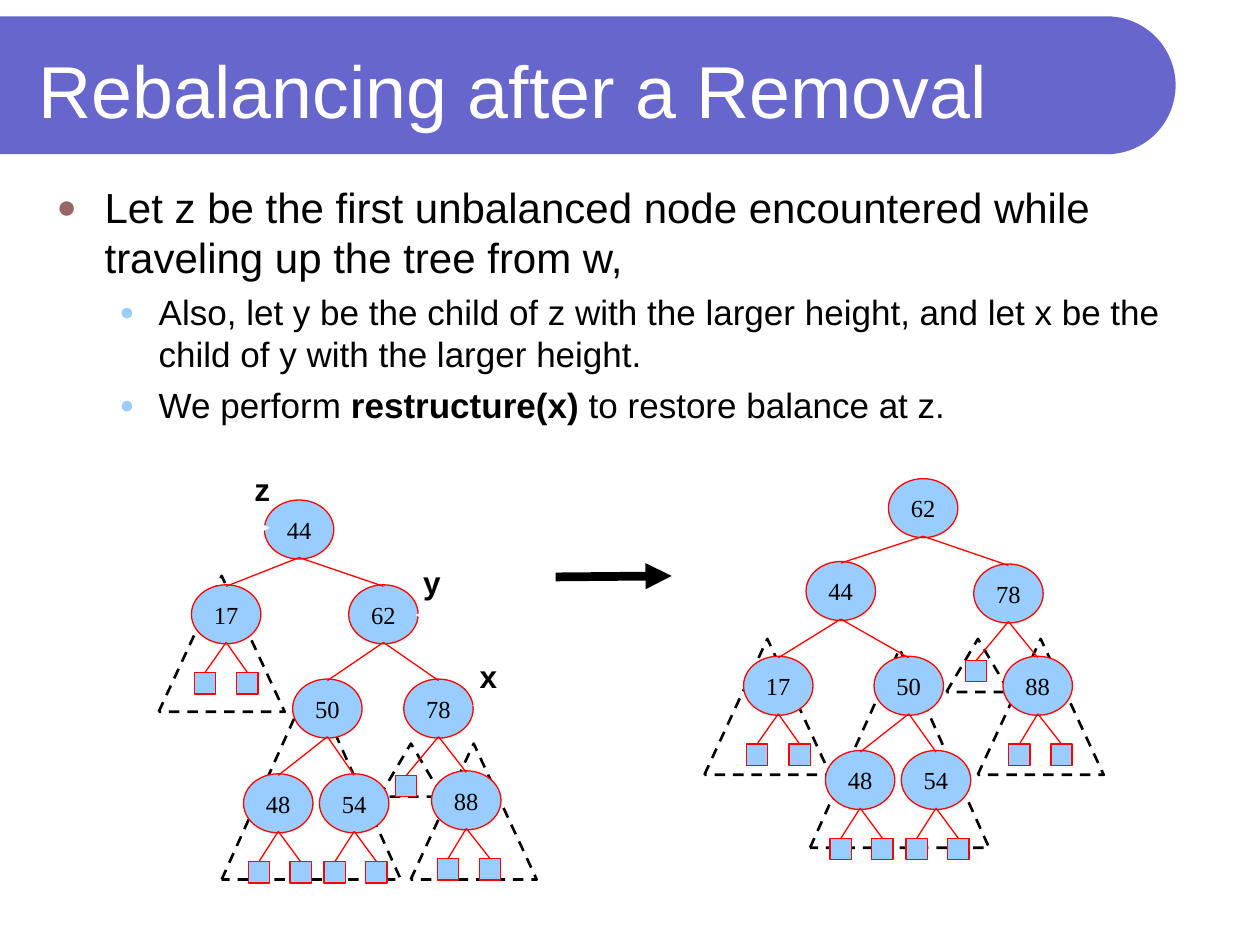
"""Build the slide on rebalancing a search tree after a removal."""
import math

import lxml.etree
import pptx
import pptx.dml.color
import pptx.enum.dml
import pptx.enum.shapes
import pptx.enum.text
import pptx.oxml.ns
import pptx.util

Cm, Pt = pptx.util.Cm, pptx.util.Pt
RGBColor = pptx.dml.color.RGBColor
SHAPE = pptx.enum.shapes.MSO_SHAPE
ALIGN = pptx.enum.text.PP_ALIGN
ANCHOR = pptx.enum.text.MSO_ANCHOR
AUTO_SIZE = pptx.enum.text.MSO_AUTO_SIZE
qn = pptx.oxml.ns.qn

VIOLET = RGBColor(0x66, 0x66, 0xCC)
SKY = RGBColor(0x99, 0xCC, 0xFF)
MAROON = RGBColor(0x99, 0x66, 0x66)
RED = RGBColor(0xFF, 0, 0)
BLACK = RGBColor(0, 0, 0)
WHITE = RGBColor(0xFF, 0xFF, 0xFF)

TITLE = "Rebalancing after a Removal"
POINTS = [
    (0, [("Let z be the first unbalanced node encountered while traveling up the tree from w,", False)]),
    (1, [("Also, let y be the child of z with the larger height, "
          "and let x be the child of y with the larger height.", False)]),
    (1, [("We perform ", False), ("restructure(x) ", True), ("to restore balance at z.", False)]),
]
LEVELS = [
    {"size": 24, "before": 6, "margin": 0.97, "hang": 0.97, "bullet": MAROON, "percent": 80},
    {"size": 20, "before": 5, "margin": 2.06, "hang": 0.79, "bullet": SKY, "percent": 70},
]

TREES = [
    {
        "nodes": {44: (6.03, 10.08), 17: (4.56, 11.79), 62: (7.73, 11.79), 50: (6.6, 13.69),
                  78: (8.84, 13.69), 48: (5.61, 15.6), 54: (7.14, 15.6), 88: (9.4, 15.54)},
        "edges": [(44, 17), (44, 62), (62, 50), (62, 78), (50, 48), (50, 54), (78, 88)],
        "subtrees": [("medium", 8.28, 14.99), ("small", 7.65, 14.99),
                     ("large", 4.47, 13.72), ("medium", 3.2, 11.61)],
    },
    {
        "nodes": {62: (18.61, 9.65), 44: (16.95, 11.32), 78: (20.33, 11.37), 17: (15.69, 13.23),
                  50: (18.32, 13.23), 88: (20.92, 13.23), 48: (17.34, 15.13), 54: (18.87, 15.13)},
        "edges": [(62, 44), (62, 78), (44, 17), (44, 50), (50, 48), (50, 54), (78, 88)],
        "subtrees": [("medium", 19.71, 12.88), ("small", 19.08, 12.88),
                     ("large", 16.33, 13.08), ("medium", 14.2, 12.88)],
    },
]
LEAVES = {17: [(-0.43, 1.77), (0.43, 1.77)], 48: [(-0.39, 1.77), (0.45, 1.77)],
          54: [(-0.39, 1.77), (0.45, 1.77)], 88: [(-0.37, 1.77), (0.48, 1.77)],
          78: [(-0.65, 1.94)]}
SUBTREE_SIZES = {"small": (1.27, 1.07), "medium": (2.54, 2.74), "large": (3.61, 4.01)}
NODE_W, NODE_H, LEAF, OVERLAP = 1.4, 1.19, 0.43, 0.03

LABELS = [("x", 9.42, 13.13), ("y", 8.28, 11.23), ("z", 4.88, 9.35)]
POINTERS = [(4.57, 10.64, 5.44, 10.64), (9.45, 12.4, 8.38, 12.4), (10.59, 14.22, 9.53, 14.22)]
STEP_ARROW = (11.2, 11.63, 13.54, 11.61)

NODE_FONT = {"name": "Times New Roman", "size": Pt(14)}
LABEL_FONT = {"name": "Arial", "size": Pt(18), "bold": True}
TITLE_FONT = {"name": "Arial", "size": Pt(42)}


def assign(target, values):
    for name, value in values.items():
        setattr(target, name, value)


def write(paragraph, text, font, color):
    run = paragraph.add_run()
    run.text = text
    assign(run.font, font)
    run.font.color.rgb = color


def child(parent, tag, **attributes):
    return lxml.etree.SubElement(parent, qn(tag), attributes)


def add_outline(shapes, kind, left, top, width, height, fill=SKY, line=RED, weight=0.75):
    shape = shapes.add_shape(kind, Cm(left), Cm(top), Cm(width), Cm(height))
    shape.shadow.inherit = False
    if fill is None:
        shape.fill.background()
    else:
        shape.fill.solid()
        shape.fill.fore_color.rgb = fill
    shape.line.color.rgb = line
    shape.line.width = Pt(weight)
    return shape


def add_line(shapes, ends, color=RED, weight=0.75, arrow=False):
    line = shapes.add_connector(pptx.enum.shapes.MSO_CONNECTOR.STRAIGHT, *map(Cm, ends))
    line.line.color.rgb = color
    line.line.width = Pt(weight)
    properties = line.line._get_or_add_ln()
    if arrow:
        child(properties, "a:tailEnd", type="triangle")
    child(properties.getparent(), "a:effectLst")
    return line


def add_banner(shapes, top=0.33, right=23.7, radius=1.39):
    centre_x, centre_y = right - radius, top + radius
    arc = [(Cm(centre_x + radius * math.cos(angle)), Cm(centre_y + radius * math.sin(angle)))
           for angle in (math.radians(degrees) for degrees in range(-90, 91, 3))]
    outline = shapes.build_freeform(0, Cm(top))
    outline.add_line_segments(arc + [(0, Cm(top + 2 * radius))], close=True)
    banner = outline.convert_to_shape()
    banner.shadow.inherit = False
    banner.fill.solid()
    banner.fill.fore_color.rgb = VIOLET
    banner.line.fill.background()


def add_tree(shapes, nodes, edges, subtrees):
    for size, left, top in subtrees:
        triangle = add_outline(shapes, SHAPE.ISOSCELES_TRIANGLE, left, top,
                               *SUBTREE_SIZES[size], fill=None, line=BLACK, weight=1.5)
        triangle.line.dash_style = pptx.enum.dml.MSO_LINE.DASH
    for key, (x, top) in nodes.items():
        node = add_outline(shapes, SHAPE.OVAL, x - NODE_W / 2, top, NODE_W, NODE_H)
        assign(node.text_frame, {"word_wrap": False, "vertical_anchor": ANCHOR.MIDDLE})
        paragraph = node.text_frame.paragraphs[0]
        paragraph.alignment = ALIGN.CENTER
        write(paragraph, str(key), NODE_FONT, BLACK)
    for parent, lower in edges:
        (x, top), (lower_x, lower_top) = nodes[parent], nodes[lower]
        add_line(shapes, (x, top + NODE_H - OVERLAP, lower_x, lower_top + OVERLAP))
    for key, offsets in LEAVES.items():
        x, top = nodes[key]
        for dx, dy in offsets:
            leaf = add_outline(shapes, SHAPE.RECTANGLE, x + dx - LEAF / 2, top + dy, LEAF, LEAF)
            branch = add_line(shapes, (x, top + NODE_H - OVERLAP, x + dx, top + dy))
            branch.end_connect(leaf, 0)


def add_points(shapes):
    frame = shapes.add_textbox(Cm(0.89), Cm(3.53), Cm(23.6), Cm(14.6)).text_frame
    frame.word_wrap = True
    for index, (level, runs) in enumerate(POINTS):
        paragraph = frame.add_paragraph() if index else frame.paragraphs[0]
        style = LEVELS[level]
        assign(paragraph, {"level": level, "space_before": Pt(style["before"])})
        properties = paragraph._p.get_or_add_pPr()
        properties.set("marL", str(Cm(style["margin"])))
        properties.set("indent", str(-Cm(style["hang"])))
        child(child(properties, "a:buClr"), "a:srgbClr", val=str(style["bullet"]))
        child(properties, "a:buSzPct", val=str(style["percent"] * 1000))
        child(properties, "a:buFont", typeface="Arial")
        child(properties, "a:buChar", char="●")
        for text, bold in runs:
            write(paragraph, text, {"name": "Arial", "size": Pt(style["size"]), "bold": bold}, BLACK)


def main():
    deck = pptx.Presentation()
    assign(deck, {"slide_width": Cm(25.4), "slide_height": Cm(19.05)})
    shapes = deck.slides.add_slide(deck.slide_layouts[5]).shapes
    add_banner(shapes)
    title = shapes.title
    shapes._spTree.append(title._element)
    assign(title, {"left": Cm(0.53), "top": Cm(0.53), "width": Cm(22.28), "height": Cm(2.54)})
    assign(title.text_frame, {"word_wrap": True, "auto_size": AUTO_SIZE.NONE,
                              "vertical_anchor": ANCHOR.MIDDLE})
    heading = title.text_frame.paragraphs[0]
    heading.alignment = ALIGN.LEFT
    write(heading, TITLE, TITLE_FONT, WHITE)
    for tree in TREES:
        add_tree(shapes, **tree)
    for text, left, top in LABELS:
        label = shapes.add_textbox(Cm(left), Cm(top), Cm(0.86), Cm(1.02)).text_frame
        label.word_wrap = False
        write(label.paragraphs[0], text, LABEL_FONT, BLACK)
    for ends in POINTERS:
        add_line(shapes, ends, WHITE, arrow=True)
    add_points(shapes)
    add_line(shapes, STEP_ARROW, BLACK, 5, arrow=True)
    deck.save("out.pptx")


if __name__ == "__main__":
    main()
